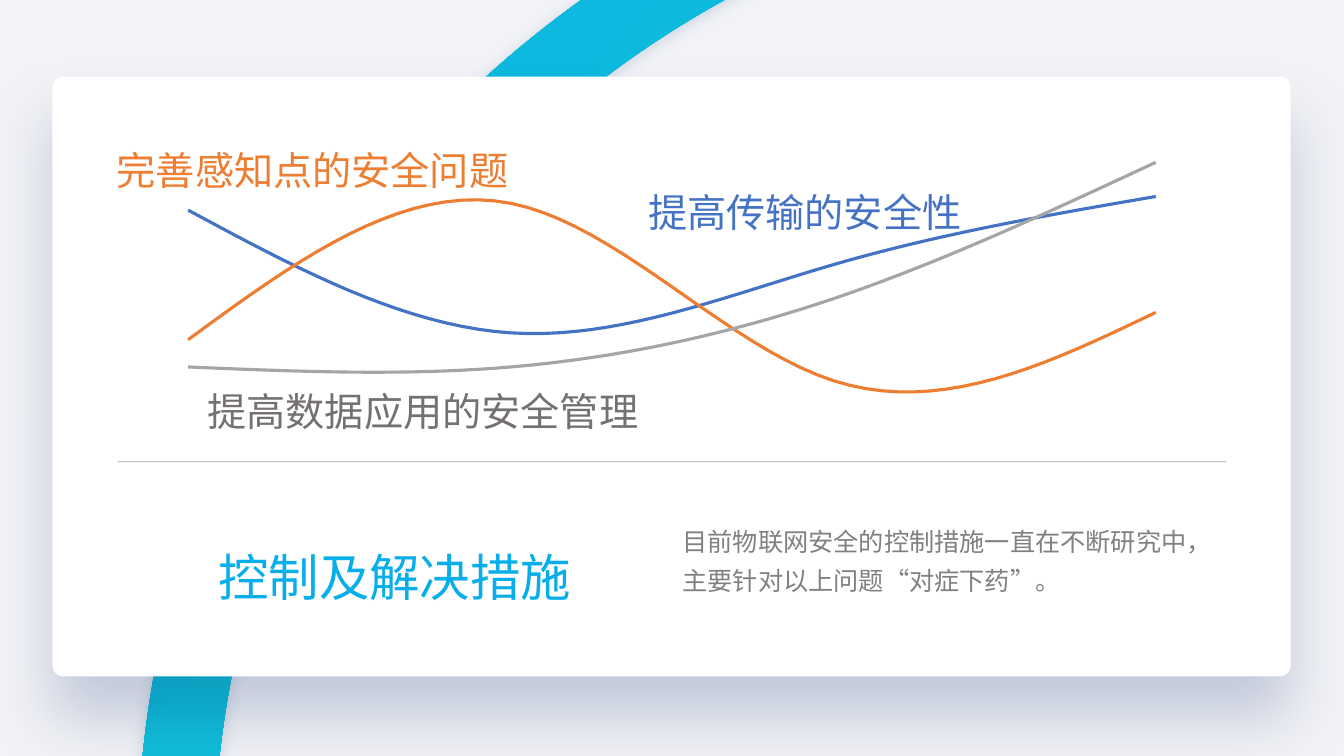
from lxml import etree
from pptx import Presentation
from pptx.chart.data import CategoryChartData
from pptx.dml.color import RGBColor
from pptx.enum.chart import XL_CHART_TYPE, XL_MARKER_STYLE
from pptx.enum.shapes import MSO_CONNECTOR, MSO_SHAPE
from pptx.enum.text import MSO_AUTO_SIZE, PP_ALIGN
from pptx.oxml import parse_xml
from pptx.oxml.ns import nsdecls, qn
from pptx.util import Inches, Pt

COLORS = {
    "background": "F2F3F7", "card": "FFFFFF", "accent": "08AEEA", "mint": "2AF598",
    "ring_shadow": "1F4E79", "card_shadow": "002060", "rule": "262626",
    "blue": "4472C4", "orange": "ED7D31", "gray": "A5A5A5",
    "label_gray": "767171", "body": "808080", "axis": "000000",
}
CHINESE_FONT = "Noto Sans CJK SC"
LABEL_FONT = "Noto Sans CJK JP"


def rgb(name):
    return RGBColor.from_string(COLORS[name])


def add_shadow(shape, color, alpha, blur, distance):
    """Give the shape a soft shadow that falls straight down."""
    shape._element.spPr.append(parse_xml(
        f'<a:effectLst {nsdecls("a")}><a:outerShdw blurRad="{Pt(blur)}" dist="{Pt(distance)}" '
        f'dir="5400000" algn="t" rotWithShape="0"><a:srgbClr val="{COLORS[color]}">'
        f'<a:alpha val="{alpha * 1000}"/></a:srgbClr></a:outerShdw></a:effectLst>'))


def add_panel(page, preset, box, adjustment):
    shape = page.shapes.add_shape(preset, *map(Inches, box))
    shape.adjustments[0] = adjustment
    shape.line.fill.background()
    return shape


def add_backdrop(page):
    """Background colour, gradient ring and white card."""
    page.background.fill.solid()
    page.background.fill.fore_color.rgb = rgb("background")

    ring = add_panel(page, MSO_SHAPE.DONUT, (1.36, -1.97, 21.08, 21.08), 0.036)
    ring.fill.gradient()
    ring.fill.gradient_angle = 315
    for stop, color, position in zip(ring.fill.gradient_stops, ("accent", "mint"), (0, 1)):
        stop.color.rgb = rgb(color)
        stop.position = position
    add_shadow(ring, "ring_shadow", 20, 10, 3)

    card = add_panel(page, MSO_SHAPE.ROUNDED_RECTANGLE, (0.52, 0.76, 12.28, 5.95), 0.018)
    card.fill.solid()
    card.fill.fore_color.rgb = rgb("card")
    add_shadow(card, "card_shadow", 20, 45, 30)


def add_text(page, box, text, size, color, font=CHINESE_FONT,
             align=PP_ALIGN.LEFT, spacing=1.0):
    frame = page.shapes.add_textbox(*map(Inches, box)).text_frame
    frame.word_wrap = True
    frame.auto_size = MSO_AUTO_SIZE.SHAPE_TO_FIT_TEXT
    frame.text = text
    para = frame.paragraphs[0]
    para.alignment = align
    para.line_spacing = spacing
    span = para.runs[0]
    span.font.size = Pt(size)
    span.font.color.rgb = rgb(color)
    span.font.name = font
    etree.SubElement(span.font._element, qn("a:ea")).set("typeface", font)


def add_curves(page, box):
    data = CategoryChartData()
    data.categories = ["1", "2", "3", "4"]
    data.add_series("Series 1", (86, 50, 70, 90))
    data.add_series("Series 2", (48, 88, 36, 56))
    data.add_series("Series 3", (40, 40, 60, 100))
    chart = page.shapes.add_chart(XL_CHART_TYPE.LINE, *map(Inches, box), data).chart
    chart.has_legend = False
    chart.has_title = False
    chart.font.size = Pt(10)
    chart.font.name = CHINESE_FONT
    chart.font.color.rgb = rgb("axis")

    chart.value_axis.minimum_scale = 0
    chart.value_axis.maximum_scale = 120
    chart.value_axis.has_major_gridlines = False
    chart.value_axis.visible = False
    chart.category_axis.visible = False

    plot = chart.plots[0]
    plot.vary_by_categories = False
    for series, color in zip(plot.series, ("blue", "orange", "gray")):
        series.smooth = True
        series.marker.style = XL_MARKER_STYLE.NONE
        series.format.line.color.rgb = rgb(color)
        series.format.line.width = Pt(2.25)

    plot_area = chart._chartSpace.chart.plotArea
    for layout in plot_area.findall(qn("c:layout")):
        plot_area.remove(layout)
    plot_area.insert(0, parse_xml(
        f'<c:layout {nsdecls("c")}><c:manualLayout><c:layoutTarget val="inner"/>'
        '<c:xMode val="edge"/><c:yMode val="edge"/><c:x val="0.02"/><c:y val="0.02"/>'
        '<c:w val="0.96"/><c:h val="0.96"/></c:manualLayout></c:layout>'))


def add_rule(page, left, right, top):
    rule = page.shapes.add_connector(
        MSO_CONNECTOR.STRAIGHT, Inches(left), Inches(top), Inches(right), Inches(top))
    rule.line.width = Pt(0.5)
    rule.line.color.rgb = rgb("rule")
    properties = rule._element.spPr
    color = properties.find(".//" + qn("a:srgbClr"))
    etree.SubElement(color, qn("a:alpha")).set("val", "40000")
    etree.SubElement(properties, qn("a:effectLst"))


def add_summary(page, left, top):
    """Heading on the left and explanation on the right."""
    add_text(page, (left, top + 0.29, 4.83, 0.71), "控制及解决措施", 36, "accent",
             align=PP_ALIGN.CENTER)
    add_text(page, (left + 5.17, top, 5.49, 0.89),
             "目前物联网安全的控制措施一直在不断研究中，主要针对以上问题“对症下药”。",
             18, "body", spacing=1.3)


def add_curve_labels(page):
    for left, top, width, text, color in (
            (1.06, 1.4, 4.46, "完善感知点的安全问题", "orange"),
            (6.33, 1.82, 4.46, "提高传输的安全性", "blue"),
            (1.96, 3.79, 4.83, "提高数据应用的安全管理", "label_gray")):
        add_text(page, (left, top, width, 0.57), text, 28, color, LABEL_FONT)


def main():
    deck = Presentation()
    deck.slide_width, deck.slide_height = Inches(13.33), Inches(7.5)
    page = deck.slides.add_slide(deck.slide_layouts[6])
    add_backdrop(page)
    add_curves(page, (0, 0.85, 13.33, 4.23))
    add_summary(page, 1.5, 5.08)
    add_rule(page, 1.17, 12.16, 4.58)
    add_curve_labels(page)
    deck.save("out.pptx")


if __name__ == "__main__":
    main()
